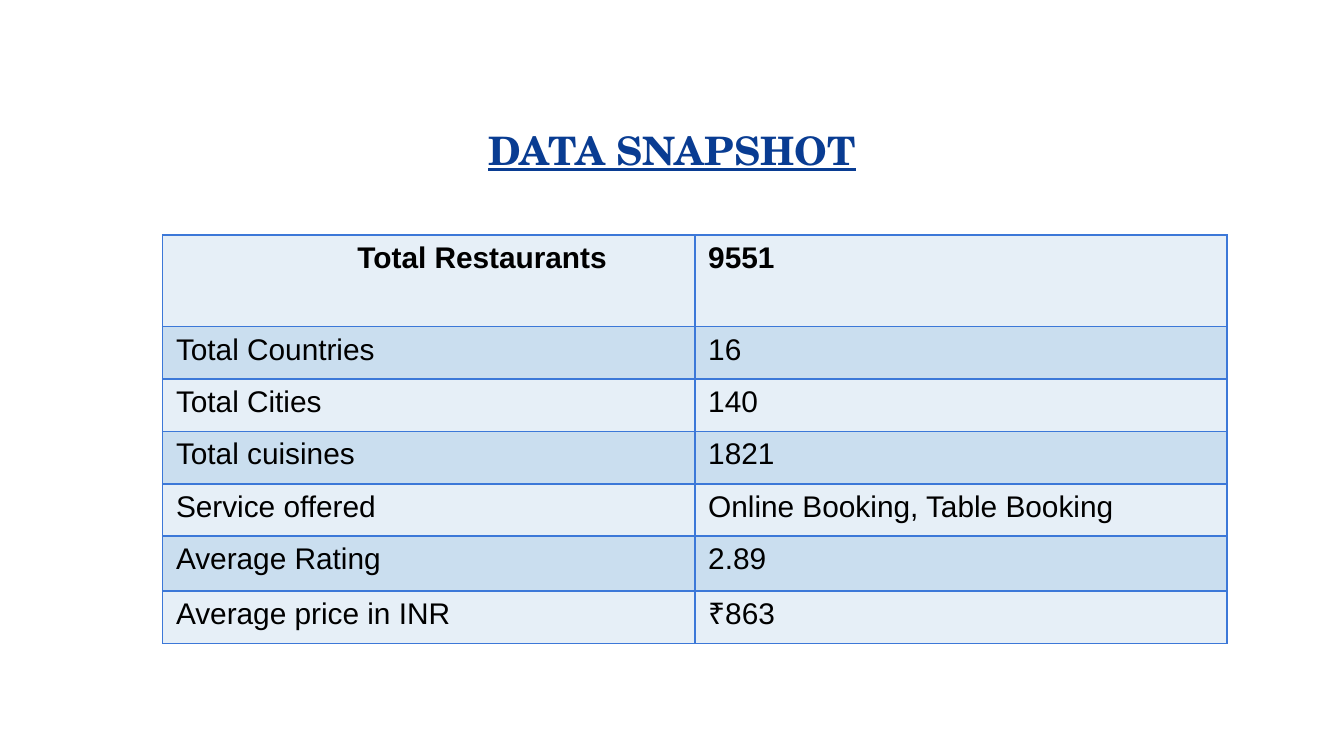
from pptx import Presentation
from pptx.dml.color import RGBColor
from pptx.enum.text import MSO_ANCHOR, PP_ALIGN
from pptx.oxml import parse_xml
from pptx.oxml.ns import nsdecls
from pptx.util import Inches, Pt

# Content
TITLE = "DATA SNAPSHOT"
ROWS = [
    ("Total Restaurants", "9551"),
    ("Total Countries", "16"),
    ("Total Cities", "140"),
    ("Total cuisines", "1821"),
    ("Service offered", "Online Booking, Table Booking"),
    ("Average Rating", "2.89"),
    ("Average price in INR", "₹863"),
]
COLORS = {"title": "093C92", "text": "000000", "border": "3C78D8",
          "light": "E6EFF7", "dark": "CADEEF"}

# Layout in inches, on a 16:9 slide
WIDTH = 10
HEIGHT = WIDTH * 9 / 16
LEFT, TOP, COL = 1.21, 1.75, 3.96
HIGHS = [0.68] + [0.39] * 4 + [0.41, 0.39]
PAD, INDENT = 0.1, 1.35


def style(par, size, face, color, bold):
    font = par.font
    font.size, font.name, font.bold = Pt(size), face, bold
    font.color.rgb = RGBColor.from_string(COLORS[color])


def add_edges(cell):
    props = cell._tc.get_or_add_tcPr()
    for at, side in enumerate(("lnL", "lnR", "lnT", "lnB")):
        props.insert(at, parse_xml(
            f'<a:{side} {nsdecls("a")} w="{Pt(1)}"><a:solidFill>'
            f'<a:srgbClr val="{COLORS["border"]}"/></a:solidFill></a:{side}>'))


def add_title(slide):
    title = slide.shapes.title
    title.left, title.top = Inches(WIDTH * 0.2), Inches(0.84)
    title.width, title.height = Inches(WIDTH * 0.6), Inches(0.58)
    frame = title.text_frame
    frame.text = TITLE
    frame.vertical_anchor = MSO_ANCHOR.TOP
    frame.margin_left = frame.margin_right = Inches(PAD)
    frame.margin_top = frame.margin_bottom = Inches(PAD)
    par = frame.paragraphs[0]
    par.alignment = PP_ALIGN.CENTER
    style(par, 21, "TeX Gyre Schola", "title", True)
    par.font.underline = True


def add_facts(slide):
    table = slide.shapes.add_table(
        len(ROWS), 2, Inches(LEFT), Inches(TOP),
        Inches(2 * COL), Inches(sum(HIGHS))).table
    for col in table.columns:
        col.width = Inches(COL)
    for r, (pair, high) in enumerate(zip(ROWS, HIGHS)):
        table.rows[r].height = Inches(high)
        for c, text in enumerate(pair):
            cell = table.cell(r, c)
            cell.text = text
            # The first label is set in from the cell's edge
            cell.margin_left = Inches(PAD + (INDENT if r == c == 0 else 0))
            cell.margin_right = Inches(PAD)
            cell.margin_top = cell.margin_bottom = Inches(0.05)
            cell.fill.solid()
            tone = "dark" if r % 2 else "light"
            cell.fill.fore_color.rgb = RGBColor.from_string(COLORS[tone])
            style(cell.text_frame.paragraphs[0], 16, "Arial", "text", r == 0)
            add_edges(cell)


def main():
    deck = Presentation()
    deck.slide_width, deck.slide_height = Inches(WIDTH), Inches(HEIGHT)
    slide = deck.slides.add_slide(deck.slide_layouts[5])
    add_title(slide)
    add_facts(slide)
    deck.save("out.pptx")


if __name__ == "__main__":
    main()
